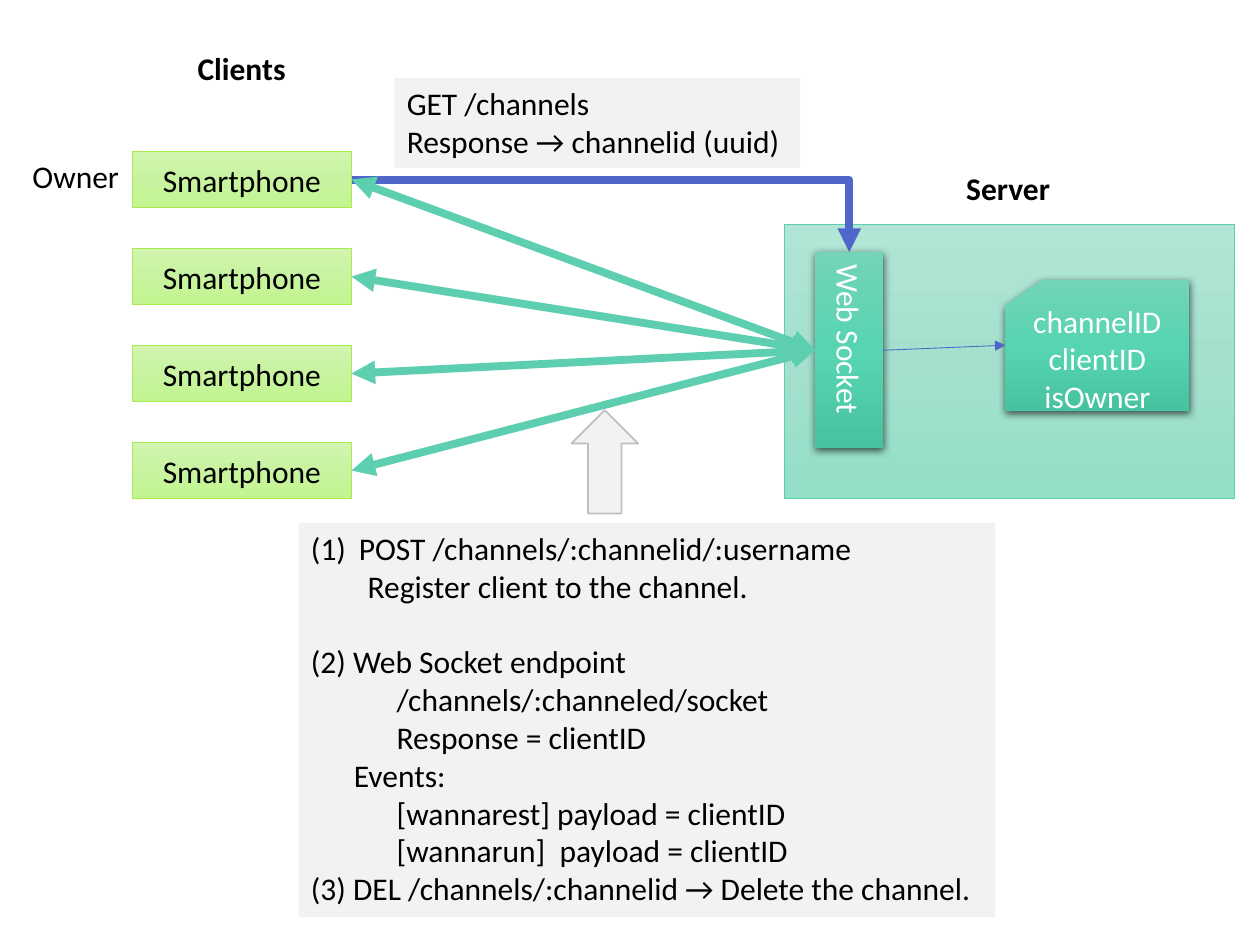
import copy
from dataclasses import dataclass
from typing import Optional

import pptx
import pptx.dml.color
import pptx.enum.shapes
import pptx.enum.text
import pptx.oxml
import pptx.oxml.ns
import pptx.util
from pptx.util import Inches

SHAPE = pptx.enum.shapes.MSO_SHAPE
CONN = pptx.enum.shapes.MSO_CONNECTOR
ALIGN = pptx.enum.text.PP_ALIGN
ANCHOR = pptx.enum.text.MSO_ANCHOR
qn = pptx.oxml.ns.qn
NS = pptx.oxml.ns.nsdecls("a")

COLORS = {
    "black": "000000", "white": "FFFFFF", "panel": "F2F2F2", "grey": "BFBFBF",
    "green": "A7EA52", "teal": "5DCEAF", "blue": "4E67C8",
}
GRADIENTS = {
    "server": ("B1E5D5", "A4E0CD", "93DFC7"),
    "phone": ("D2F5AF", "C8F3A0", "C2F58F"),
    "store": ("73D4B8", "57D4B2", "47C3A1"),
}
TOP, LEFT, RIGHT = 0, 1, 3  # connection sites


@dataclass
class Line:
    text: str
    indent: float = 0
    space_before: float = 0
    numbered: bool = False


@dataclass
class Box:
    x: float
    y: float
    w: float
    h: float
    fill: str
    lines: tuple = ()
    line: Optional[str] = None
    line_width: float = 0.5
    kind: SHAPE = SHAPE.RECTANGLE
    text_color: str = "black"
    align: ALIGN = ALIGN.CENTER
    shadow: bool = False
    vertical: bool = False


def rgb(name: str) -> pptx.dml.color.RGBColor:
    return pptx.dml.color.RGBColor.from_string(COLORS.get(name, name))


def write(tf, lines: tuple, color: str, align: ALIGN, bold: bool = False) -> None:
    for i, line in enumerate(lines):
        p = tf.paragraphs[0] if i == 0 else tf.add_paragraph()
        p.text = line.text
        p.alignment = align
        p.space_before = pptx.util.Pt(line.space_before)
        font = p.runs[0].font
        font.name, font.size, font.bold = "Calibri", pptx.util.Pt(18), bold
        font.color.rgb = rgb(color)
        pPr = p._p.get_or_add_pPr()
        if line.indent:
            pPr.set("marL", str(Inches(line.indent)))
        if line.numbered:
            pPr.set("indent", str(-Inches(line.indent)))
            pPr.append(pptx.oxml.parse_xml(f'<a:buAutoNum {NS} type="arabicParenBoth"/>'))


def fill_gradient(fill, stops: tuple) -> None:
    fill.gradient()
    fill.gradient_angle = 270
    first = fill._xPr.find(".//" + qn("a:gs"))
    first.addnext(copy.deepcopy(first))
    for i, (stop, color) in enumerate(zip(fill.gradient_stops, stops)):
        stop.position = i / 2
        stop.color.rgb = rgb(color)


def add_box(s, box: Box):
    sp = s.shapes.add_shape(box.kind, Inches(box.x), Inches(box.y),
                            Inches(box.w), Inches(box.h))
    sp.shadow.inherit = False
    if box.fill in GRADIENTS:
        fill_gradient(sp.fill, GRADIENTS[box.fill])
    else:
        sp.fill.solid()
        sp.fill.fore_color.rgb = rgb(box.fill)
    if box.line:
        sp.line.color.rgb = rgb(box.line)
        sp.line.width = pptx.util.Pt(box.line_width)
    else:
        sp.line.fill.background()
    if box.shadow:
        effects = sp._element.spPr.find(qn("a:effectLst"))
        effects.append(pptx.oxml.parse_xml(
            f'<a:outerShdw {NS} blurRad="57150" dist="19050" dir="5400000" algn="ctr" '
            'rotWithShape="0"><a:srgbClr val="000000"><a:alpha val="63000"/>'
            '</a:srgbClr></a:outerShdw>'))
    tf = sp.text_frame
    tf.vertical_anchor = ANCHOR.MIDDLE if box.align == ALIGN.CENTER else ANCHOR.TOP
    tf.word_wrap = box.align == ALIGN.CENTER
    if box.vertical:
        tf._txBody.bodyPr.set("vert", "eaVert")
    write(tf, box.lines, box.text_color, box.align)
    return sp


def add_label(s, text: str, x: float, y: float, w: float, bold: bool = True) -> None:
    tf = s.shapes.add_textbox(Inches(x), Inches(y), Inches(w), Inches(0.4)).text_frame
    tf.word_wrap = False
    write(tf, (Line(text),), "black", ALIGN.LEFT, bold)


def connect(s, start, start_site: int, end, end_site: int, color: str,
            width: float = 4.5, both: bool = False, bent: bool = False) -> None:
    c = s.shapes.add_connector(CONN.ELBOW if bent else CONN.STRAIGHT, 0, 0, 0, 0)
    c.begin_connect(start, start_site)
    c.end_connect(end, end_site)
    c.line.color.rgb = rgb(color)
    c.line.width = pptx.util.Pt(width)
    spPr = c._element.spPr
    if bent:  # a single corner
        spPr.find(qn("a:prstGeom")).set("prst", "bentConnector2")
    ln = spPr.find(qn("a:ln"))
    for end_tag in ("headEnd", "tailEnd") if both else ("tailEnd",):
        ln.append(pptx.oxml.parse_xml(f'<a:{end_tag} {NS} type="triangle"/>'))
    spPr.append(pptx.oxml.parse_xml(f"<a:effectLst {NS}/>"))


def main() -> None:
    prs = pptx.Presentation()
    prs.slide_width, prs.slide_height = Inches(10), Inches(7.5)
    s = prs.slides.add_slide(prs.slide_layouts[6])

    # Server with its socket and channel record
    add_box(s, Box(6.23, 1.78, 3.57, 2.18, "server", line="teal"))
    socket = add_box(s, Box(6.47, 2, 0.54, 1.56, "store", (Line("Web Socket"),),
                            text_color="white", shadow=True, vertical=True))
    fields = tuple(Line(name) for name in ("channelID", "clientID", "isOwner"))
    record = add_box(s, Box(7.98, 2.26 - 0.04, 1.46, 1.04, "store", fields,
                            kind=SHAPE.FLOWCHART_CARD, text_color="white", shadow=True))

    # Clients
    phones = [add_box(s, Box(1.05, 1.2 + 0.77 * i, 1.74, 0.45, "phone",
                             (Line("Smartphone"),), line="green")) for i in range(4)]

    # Labels
    add_label(s, "Server", 7.57, 1.29, 0.87)
    add_label(s, "Clients", 1.47, 0.34, 0.9)
    add_label(s, "Owner", 0.16, 1.2, 0.9, bold=False)

    # API notes
    add_box(s, Box(3.13, 0.62, 3.22, 0.71, "panel", (
        Line("GET /channels"),
        Line("Response → channelid (uuid)"),
    ), align=ALIGN.LEFT))
    add_box(s, Box(2.37, 4.15, 5.53, 3.13, "panel", (
        Line("POST /channels/:channelid/:username", 0.38, numbered=True),
        Line("Register client to the channel.", 0.45),
        Line("(2) Web Socket endpoint", space_before=21.6),
        Line("/channels/:channeled/socket", 0.68),
        Line("Response = clientID", 0.68),
        Line("Events:", 0.34),
        Line("[wannarest] payload = clientID", 0.68),
        Line("[wannarun]  payload = clientID", 0.68),
        Line("(3) DEL /channels/:channelid → Delete the channel."),
    ), align=ALIGN.LEFT))

    # Connections
    connect(s, phones[0], RIGHT, socket, TOP, "blue", bent=True)
    connect(s, socket, RIGHT, record, LEFT, "blue", width=0.5)
    for phone in phones:
        connect(s, phone, RIGHT, socket, LEFT, "teal", both=True)

    # Arrow from the notes up to the connections
    arrow = add_box(s, Box(4.39, 3.4, 0.82, 0.53, "panel", line="grey",
                           line_width=1, kind=SHAPE.RIGHT_ARROW))
    arrow.rotation = 270

    prs.save("out.pptx")


if __name__ == "__main__":
    main()
